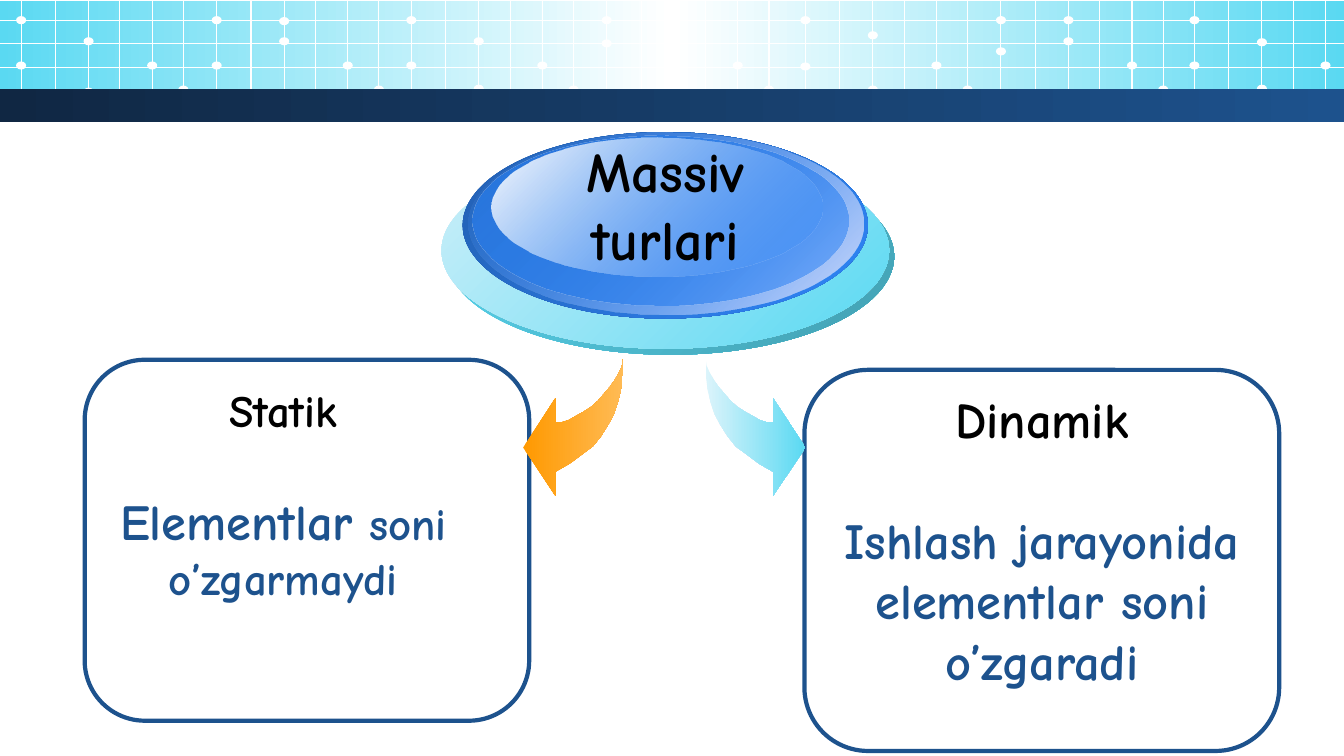
from dataclasses import dataclass
from typing import Any

from lxml.etree import SubElement as Sub
from pptx import Presentation
from pptx.dml.color import RGBColor as RGB
from pptx.enum.shapes import MSO_CONNECTOR as Link, MSO_SHAPE as Kind
from pptx.enum.text import MSO_ANCHOR as Anchor, PP_ALIGN as Align
from pptx.oxml.ns import qn
from pptx.util import Pt

WHITE = RGB(0xFF, 0xFF, 0xFF)
BLACK = RGB(0x00, 0x00, 0x00)
CYAN = RGB(0x5A, 0xD9, 0xF2)
TEAL = RGB(0x42, 0x9F, 0xB1)
PALE = RGB(0xCC, 0xEF, 0xF9)
FROST = RGB(0xDC, 0xF4, 0xFB)
DARK = RGB(0x10, 0x27, 0x43)
NAVY = RGB(0x1D, 0x52, 0x8D)
DEEP = RGB(0x22, 0x5F, 0xB1)
MID = RGB(0x2A, 0x78, 0xDF)
BLUE = RGB(0x2F, 0x85, 0xF7)
LILAC = RGB(0xD5, 0xDE, 0xFC)
ORANGE = RGB(0xFF, 0x99, 0x00)
PEACH = RGB(0xFF, 0xBB, 0x55)
FONT = {"name": "Comic Neue", "bold": True}
WIDE, HIGH = 960, 540


@dataclass
class Box:
    x: float
    y: float
    w: float
    h: float


@dataclass
class Stop:
    tint: RGB
    show: int = 100  # opacity in percent


@dataclass
class Disc:
    box: Box
    stops: list[Stop]


@dataclass
class Group:
    x: float
    low: float  # second dot of the first column
    pair: tuple[float, float]  # dots of the third column


@dataclass
class Run:
    text: str
    size: float
    tint: RGB


@dataclass
class Para:
    runs: list[Run]
    gap: float = 0


@dataclass
class Label:
    box: Box
    paras: list[Para]


@dataclass
class Arrow:
    x: float
    side: int  # -1 points left, 1 points right
    stops: list[Stop]


# Header grid
STEPS = (0, 24.5, 48.2, 70.6, 93.6, 115.9)
ROWS = (14.4, 31, 48.2, 64.1)
TOP, THIRD, FOOT = 14.4, 46.8, 64
GROUPS = [
    Group(15.1, 46.8, (29.5, 65.5)),
    Group(154.8, 46.8, (29.5, 15.1)),
    Group(293.8, 46.8, (29.5, 63.4)),
    Group(433.4, 31, (30.2, TOP)),
    Group(575.3, 47.5, (25.2, 64)),
    Group(715, 36.7, (29.5, TOP)),
    Group(853.2, 46.8, (30.2, 63.4)),
]

# Oval title, from back to front
DISCS = [
    Disc(Box(319, 113, 319.7, 140.4), [Stop(CYAN), Stop(TEAL)]),
    Disc(Box(315.4, 108.7, 319.7, 140.4), [Stop(PALE), Stop(CYAN)]),
    Disc(Box(330.5, 94.3, 289.4, 133.2), [Stop(DEEP), Stop(BLUE)]),
    Disc(Box(334.8, 95, 282.2, 129.6), [Stop(BLUE, 0), Stop(LILAC)]),
    Disc(Box(337.7, 96.5, 268.6, 121.7), [Stop(MID), Stop(BLUE, 48)]),
    Disc(Box(351.4, 98.6, 236.2, 98.6), [Stop(WHITE), Stop(BLUE, 38)]),
]

CARDS = [Box(574.6, 264.2, 339.1, 272.2), Box(60.5, 257, 317.5, 257.8)]

# Arrow outline, measured from its root
CURVE = [
    (0, 0), (0, 10.8), (1.4, 21.6), (3.6, 31), (6.5, 39.6), (10.8, 47.5),
    (15.8, 55.4), (21.6, 62.6), (29.5, 68.4), (38.2, 74.9), (48.2, 80.6),
    (48.2, 97.9), (71.3, 63.4), (48.2, 28.1), (48.2, 45.4), (43.9, 45.4),
    (38.9, 43.9), (33.8, 41), (28.8, 38.2), (23, 34.6), (18, 30.2),
    (13.7, 25.2), (9.4, 20.2), (5.8, 15.1), (2.9, 10.1), (0.7, 5),
]
ROOT = 256.3
ARROWS = [
    Arrow(445, -1, [Stop(ORANGE), Stop(PEACH)]),
    Arrow(504, 1, [Stop(FROST), Stop(CYAN)]),
]

LABELS = [
    Label(Box(77.8, 270, 249.1, 205.9), [
        Para([Run("Statik", 32, BLACK)]),
        Para([Run("Elementlar", 36, NAVY), Run(" soni o’zgarmaydi", 32, NAVY)], 38),
    ]),
    Label(Box(393.1, 94.3, 164.2, 104.4), [
        Para([Run("Massiv turlari", 40, BLACK)]),
    ]),
    Label(Box(574.6, 273.6, 339.1, 225.4), [
        Para([Run("Dinamik", 36, BLACK)]),
        Para([Run("Ishlash jarayonida elementlar soni o’zgaradi", 36, NAVY)], 43),
    ]),
]


def span(box: Box) -> list[int]:
    return [Pt(v) for v in (box.x, box.y, box.w, box.h)]


def blend(shape: Any, stops: list[Stop], turn: int = 0) -> None:
    """Fill with a gradient that turns clockwise by the given angle."""
    shape.fill.gradient()
    shape.fill.gradient_angle = (360 - turn) % 360
    listing = next(shape._element.iter(qn("a:gsLst")))
    for old in list(listing):
        listing.remove(old)
    for i, stop in enumerate(stops):
        mark = Sub(listing, qn("a:gs"), pos=str(100000 * i // (len(stops) - 1)))
        tint = Sub(mark, qn("a:srgbClr"), val=str(stop.tint))
        if stop.show < 100:
            Sub(tint, qn("a:alpha"), val=str(stop.show * 1000))
    shape.line.fill.background()
    shape.shadow.inherit = False


def draw_dot(slide: Any, x: float, y: float) -> None:
    dot = slide.shapes.add_shape(Kind.OVAL, *span(Box(x - 3.6, y - 2.9, 7.2, 5.8)))
    dot.fill.solid()
    dot.fill.fore_color.rgb = WHITE
    dot.line.fill.background()
    dot.shadow.inherit = False


def draw_line(slide: Any, *ends: float) -> None:
    line = slide.shapes.add_connector(Link.STRAIGHT, *[Pt(v) for v in ends])
    line.line.color.rgb = WHITE
    line.line.width = Pt(0.75)
    Sub(line._element.spPr, qn("a:effectLst"))


def draw_head(slide: Any) -> None:
    back = slide.shapes.add_shape(Kind.RECTANGLE, *span(Box(0, 0.7, WIDE, 73.4)))
    blend(back, [Stop(CYAN), Stop(WHITE), Stop(CYAN)])
    for group in GROUPS:
        cols = [group.x + step for step in STEPS]
        dots = [(0, TOP), (0, group.low), (4, THIRD), (5, FOOT)]
        dots += [(2, y) for y in group.pair]
        for x in cols:
            if x < WIDE:
                draw_line(slide, x, 0, x, 79.2)
        for col, y in dots:
            if cols[col] < WIDE:
                draw_dot(slide, cols[col], y)
    for y in ROWS:
        draw_line(slide, 0, y, WIDE, y)
    band = slide.shapes.add_shape(Kind.RECTANGLE, *span(Box(0, 63.4, WIDE, 23.8)))
    blend(band, [Stop(DARK), Stop(NAVY)])


def draw_card(slide: Any, box: Box) -> None:
    card = slide.shapes.add_shape(Kind.ROUNDED_RECTANGLE, *span(box))
    card.fill.background()
    card.line.color.rgb = NAVY
    card.line.width = Pt(3)
    card.shadow.inherit = False


def draw_arrow(slide: Any, arrow: Arrow) -> None:
    points = [(Pt(arrow.x + arrow.side * x), Pt(ROOT + y)) for x, y in CURVE]
    form = slide.shapes.build_freeform(*points[0])
    form.add_line_segments(points[1:], close=True)
    blend(form.convert_to_shape(), arrow.stops)


def draw_disc(slide: Any, disc: Disc) -> None:
    blend(slide.shapes.add_shape(Kind.OVAL, *span(disc.box)), disc.stops, 45)


def draw_label(slide: Any, label: Label) -> None:
    frame = slide.shapes.add_textbox(*span(label.box)).text_frame
    frame.word_wrap = True
    frame.vertical_anchor = Anchor.TOP
    for i, para in enumerate(label.paras):
        line = frame.add_paragraph() if i else frame.paragraphs[0]
        line.alignment = Align.CENTER
        if para.gap:
            line.space_before = Pt(para.gap)
        for part in para.runs:
            run = line.add_run()
            run.text = part.text
            for key, value in {**FONT, "size": Pt(part.size)}.items():
                setattr(run.font, key, value)
            run.font.color.rgb = part.tint


def main() -> None:
    deck = Presentation()
    deck.slide_width, deck.slide_height = Pt(WIDE), Pt(HIGH)
    slide = deck.slides.add_slide(deck.slide_layouts[6])
    draw_head(slide)
    for draw, items in (
        (draw_card, CARDS), (draw_arrow, ARROWS),
        (draw_disc, DISCS), (draw_label, LABELS),
    ):
        for item in items:
            draw(slide, item)
    deck.save("out.pptx")


if __name__ == "__main__":
    main()
